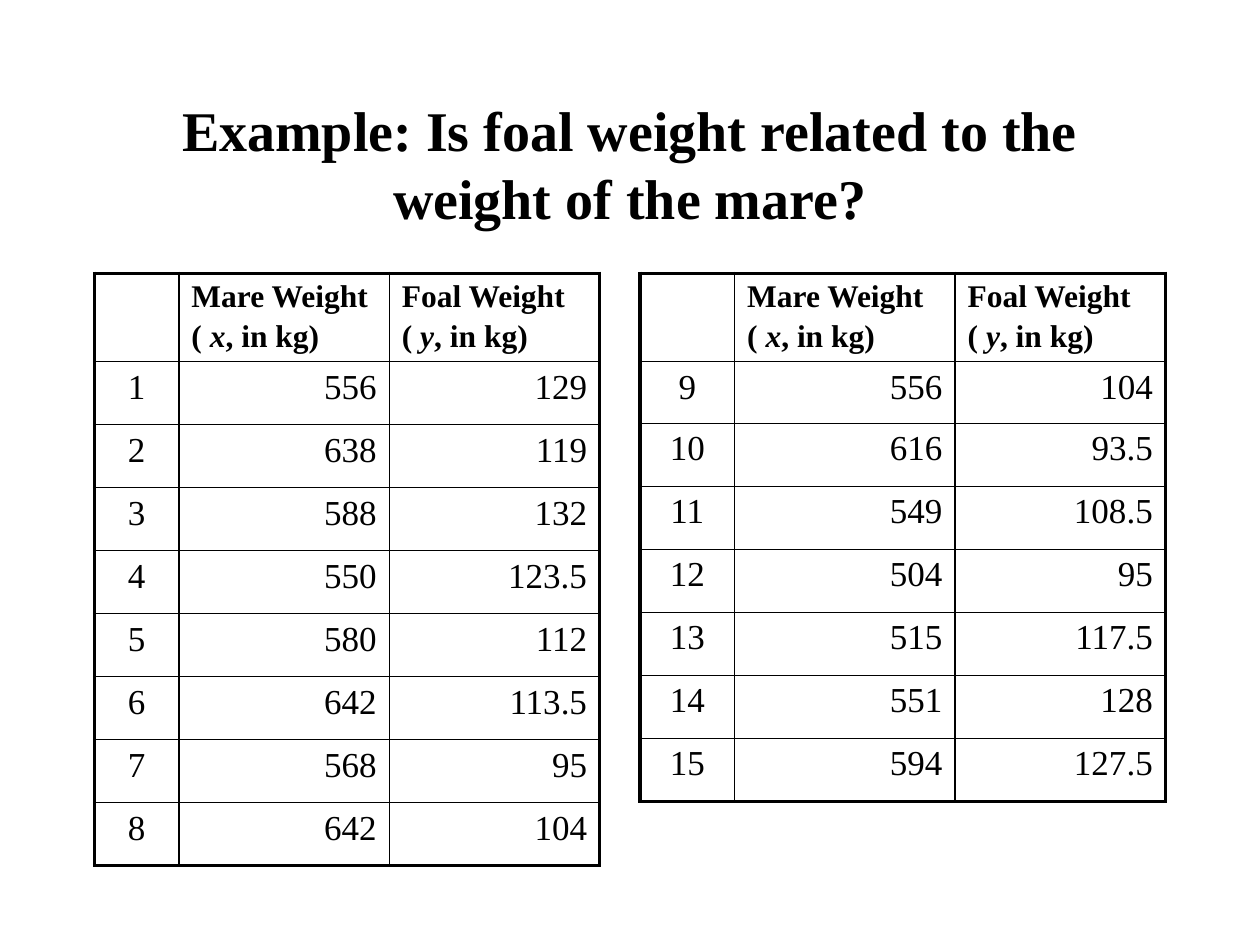
from lxml import etree
from pptx import Presentation
from pptx.dml.color import RGBColor
from pptx.enum.text import MSO_ANCHOR, MSO_AUTO_SIZE, PP_ALIGN
from pptx.oxml.ns import qn
from pptx.util import Inches, Pt

LEFT, MID, RIGHT = PP_ALIGN.LEFT, PP_ALIGN.CENTER, PP_ALIGN.RIGHT
CENTER = MSO_ANCHOR.MIDDLE
FIXED = MSO_AUTO_SIZE.NONE
BLACK = RGBColor(0, 0, 0)
FONT = "Times New Roman"
THIN, THICK = Pt(1), Pt(2.25)
HEADS = [("Mare Weight", "x"), ("Foal Weight", "y")]
MARES = [
    ("556", "129"), ("638", "119"), ("588", "132"), ("550", "123.5"),
    ("580", "112"), ("642", "113.5"), ("568", "95"), ("642", "104"),
    ("556", "104"), ("616", "93.5"), ("549", "108.5"), ("504", "95"),
    ("515", "117.5"), ("551", "128"), ("594", "127.5"),
]


class Deck:
    def __init__(self, prs):
        self.slide = prs.slides.add_slide(prs.slide_layouts[5])

    def run(self, para, text, size, bold=False, italic=False):
        run = para.add_run()
        run.text = text
        font = run.font
        font.name, font.size = FONT, Pt(size)
        font.bold, font.italic = bold, italic
        font.color.rgb = BLACK

    def title(self, text, left, top, width, height):
        shape = self.slide.shapes.title
        shape.left, shape.top = Inches(left), Inches(top)
        shape.width, shape.height = Inches(width), Inches(height)
        frame = shape.text_frame
        frame.word_wrap = True
        frame.auto_size = FIXED
        frame.vertical_anchor = CENTER
        para = frame.paragraphs[0]
        para.alignment = MID
        self.run(para, text, 32, bold=True)

    def border(self, cell, widths):
        props = cell._tc.get_or_add_tcPr()
        for spot, (side, width) in enumerate(zip("LRTB", widths)):
            line = etree.Element(qn(f"a:ln{side}"), w=str(width))
            fill = etree.SubElement(line, qn("a:solidFill"))
            etree.SubElement(fill, qn("a:srgbClr"), val=str(BLACK))
            props.insert(spot, line)

    def head(self, cell, label, sign):
        first = cell.text_frame.paragraphs[0]
        first.alignment = LEFT
        self.run(first, label, 18, bold=True)
        unit = cell.text_frame.add_paragraph()
        unit.alignment = LEFT
        unit.space_before = Pt(3)
        self.run(unit, "( ", 18, bold=True)
        self.run(unit, sign, 18, bold=True, italic=True)
        self.run(unit, ", in kg)", 18, bold=True)

    def table(self, left, top, cols, rows, start, data):
        grid = self.slide.shapes.add_table(
            len(rows), len(cols), Inches(left), Inches(top),
            Inches(sum(cols)), Inches(sum(rows))).table
        grid.first_row = grid.horz_banding = False
        for col, width in zip(grid.columns, cols):
            col.width = Inches(width)
        for row, height in zip(grid.rows, rows):
            row.height = Inches(height)
        for col, (label, sign) in enumerate(HEADS, 1):
            self.head(grid.cell(0, col), label, sign)
        for row, pair in enumerate(data, 1):
            for col, text in enumerate((str(start + row - 1), *pair)):
                para = grid.cell(row, col).text_frame.paragraphs[0]
                para.alignment = RIGHT if col else MID
                self.run(para, text, 20)
        for row in range(len(rows)):
            for col in range(len(cols)):
                cell = grid.cell(row, col)
                cell.fill.background()
                edges = (col == 0, col == len(cols) - 1,
                         row == 0, row == len(rows) - 1)
                self.border(cell, [THICK if edge else THIN for edge in edges])


def main():
    prs = Presentation()
    prs.slide_width, prs.slide_height = Inches(10), Inches(7.5)
    deck = Deck(prs)
    deck.title("Example: Is foal weight related to the weight of the mare?",
               0.75, 0.67, 8.5, 1.25)
    deck.table(0.75, 2.17, [0.67, 1.67, 1.67], [0.7] + [0.5] * 8,
               1, MARES[:8])
    deck.table(5.08, 2.17, [0.75, 1.75, 1.67], [0.7, 0.49] + [0.5] * 6,
               9, MARES[8:])
    prs.save("out.pptx")


if __name__ == "__main__":
    main()
